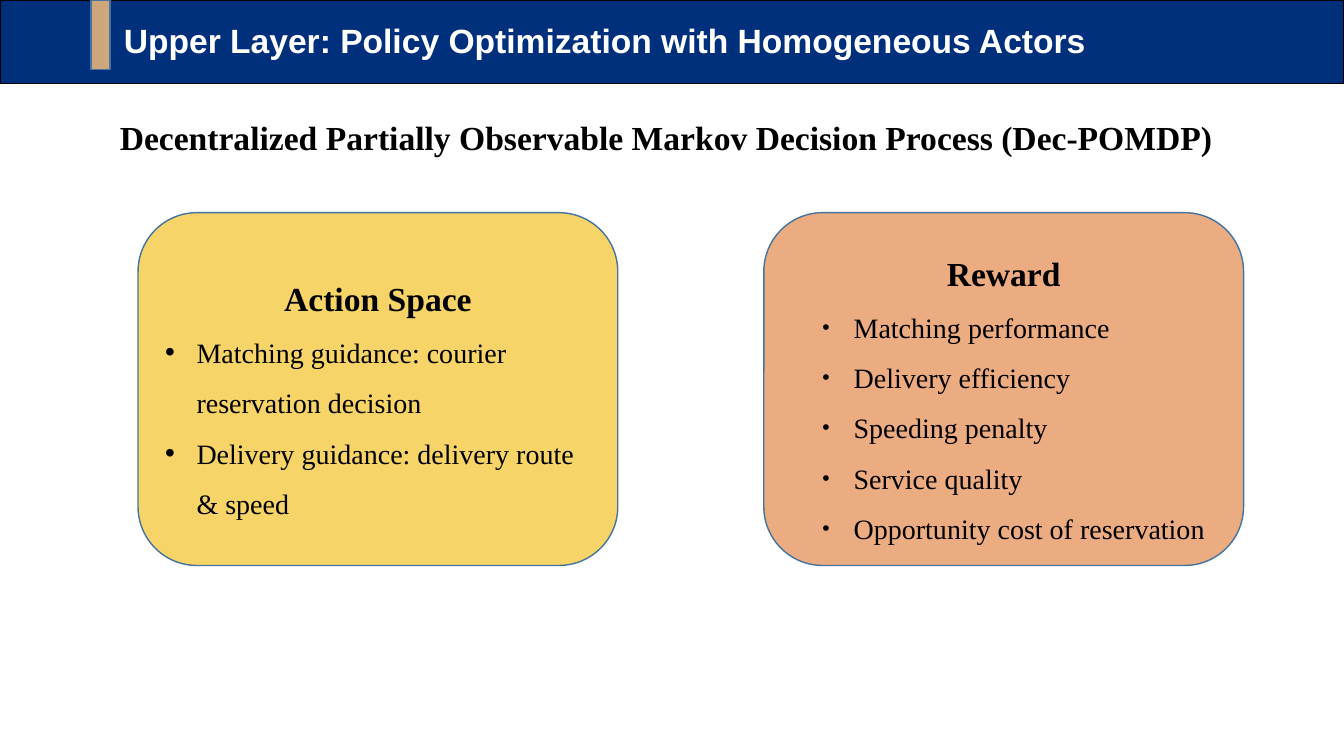
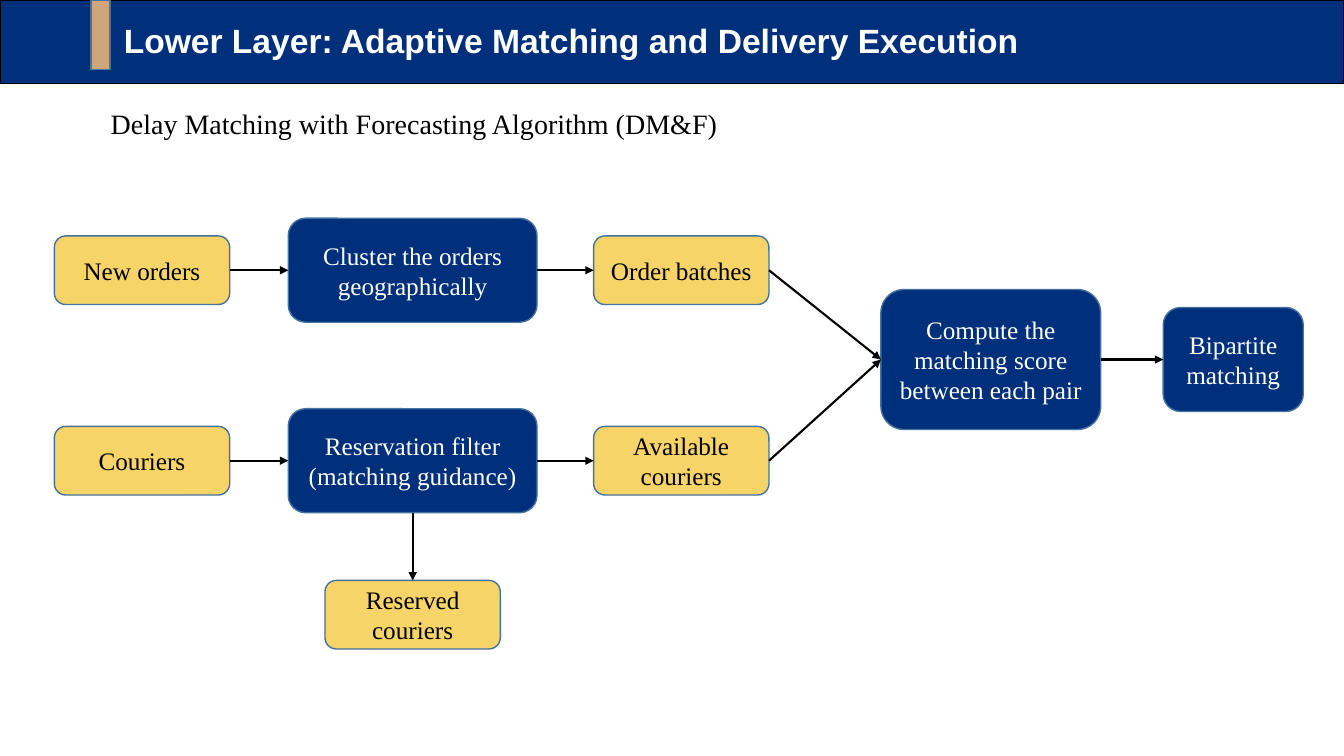
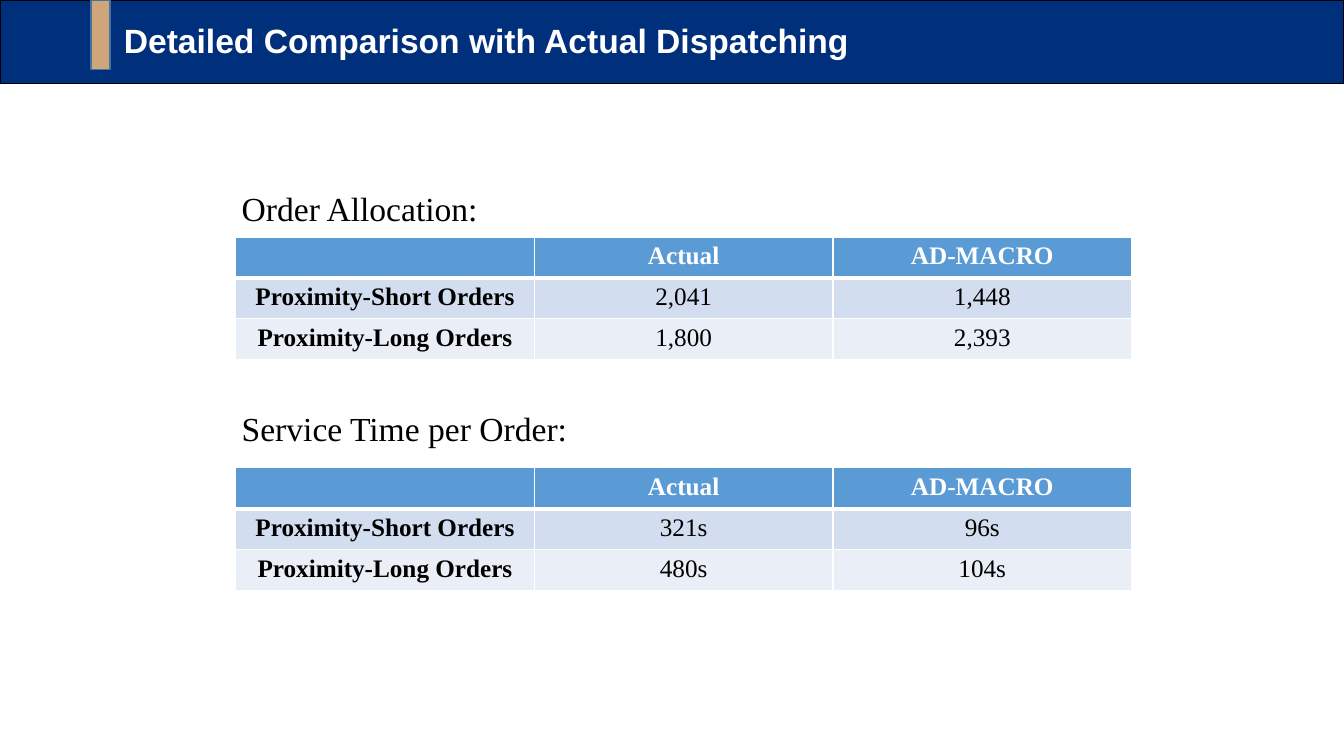
"""Build three slides on courier dispatching with a shared banner style."""
from pptx import Presentation
from pptx import util as u
from pptx.dml.color import RGBColor
from pptx.enum import shapes, text
from pptx.oxml import ns
from lxml import etree

COLORS = {
    "navy": "002F7C", "tan": "CFA57C", "outline": "43739E",
    "yellow": "F6D467", "orange": "EBAC82", "black": "000000",
    "white": "FFFFFF", "header": "5B9BD5", "band": "D2DEEF", "light": "EAEFF7",
}
SERIF = "Times New Roman"
CENTER = text.PP_ALIGN.CENTER
WIDTH, HEIGHT = 33.87, 19.05


def color(name):
    """Return the named colour."""
    return RGBColor.from_string(COLORS[name])


def add_xml(parent, tag, **attributes):
    """Append a drawing element and return it."""
    return etree.SubElement(parent, ns.qn(tag), attributes)


def write(paragraph, content, size=18, bold=False, ink="black", font=SERIF,
          align=text.PP_ALIGN.LEFT, spacing=1.0, bullet=None):
    """Write formatted text, with bullet as (left margin in cm, size in percent)."""
    paragraph.alignment = align
    paragraph.line_spacing = spacing
    if bullet:
        margin, percent = bullet
        properties = paragraph._p.get_or_add_pPr()
        properties.set("marL", str(u.Cm(margin)))
        properties.set("indent", str(-u.Cm(0.79)))
        add_xml(properties, "a:buSzPct", val=str(percent * 1000))
        add_xml(properties, "a:buFont", typeface="Arial")
        add_xml(properties, "a:buChar", char="•")
    run = paragraph.add_run()
    run.text = content
    run.font.size = u.Pt(size)
    run.font.bold = bold
    run.font.name = font
    run.font.color.rgb = color(ink)


class Deck:
    """Hold the presentation, its style and the current slide."""

    def __init__(self):
        """Start an empty widescreen presentation."""
        self.presentation = Presentation()
        self.presentation.slide_width = u.Cm(WIDTH)
        self.presentation.slide_height = u.Cm(HEIGHT)
        self.slide = None

    def start(self, title):
        """Add a slide with the banner and its title."""
        layout = self.presentation.slide_layouts.get_by_name("Title Only")
        self.slide = self.presentation.slides.add_slide(layout)
        banner = self.box(0, 0, WIDTH, 2.11, "navy", "black", shapes.MSO_SHAPE.RECTANGLE)
        accent = self.box(2.29, 0, 0.48, 1.75, "tan", kind=shapes.MSO_SHAPE.RECTANGLE)
        heading = self.slide.shapes.title
        for shape in (banner, accent):
            heading.element.addprevious(shape.element)
        heading.left, heading.top = u.Cm(3.12), u.Cm(0.51)
        heading.width, heading.height = u.Cm(28), u.Cm(1.02)
        frame = heading.text_frame
        frame.margin_left = frame.margin_right = frame.margin_top = frame.margin_bottom = 0
        frame.auto_size = text.MSO_AUTO_SIZE.NONE
        frame.vertical_anchor = text.MSO_ANCHOR.TOP
        write(frame.paragraphs[0], title, size=24, bold=True, ink="white", font="Arial")

    def box(self, left, top, width, height, fill, line="outline",
            kind=shapes.MSO_SHAPE.ROUNDED_RECTANGLE):
        """Add a filled and outlined shape."""
        shape = self.slide.shapes.add_shape(
            kind, u.Cm(left), u.Cm(top), u.Cm(width), u.Cm(height))
        shape.shadow.inherit = False
        shape.fill.solid()
        shape.fill.fore_color.rgb = color(fill)
        shape.line.color.rgb = color(line)
        shape.line.width = u.Pt(1)
        shape.text_frame.word_wrap = True
        shape.text_frame.vertical_anchor = text.MSO_ANCHOR.MIDDLE
        return shape

    def label(self, left, top, width, height, content, **style):
        """Add a wrapping text box."""
        shape = self.slide.shapes.add_textbox(
            u.Cm(left), u.Cm(top), u.Cm(width), u.Cm(height))
        shape.text_frame.word_wrap = True
        write(shape.text_frame.paragraphs[0], content, **style)

    def card(self, left, fill, heading, items, bullet):
        """Add a large box with a heading and bulleted items."""
        frame = self.box(left, 5.36, 12.09, 8.89, fill).text_frame
        write(frame.paragraphs[0], heading, size=24, bold=True, align=CENTER, spacing=1.5)
        for item in items:
            write(frame.add_paragraph(), item, size=20, spacing=1.5, bullet=bullet)

    def node(self, x, y, content, width, height, fill, ink):
        """Add a flowchart box centred on a point."""
        shape = self.box(x - width / 2, y - height / 2, width, height, fill)
        write(shape.text_frame.paragraphs[0], content, ink=ink, align=CENTER)
        return shape

    def data(self, x, y, content):
        """Add a yellow data box."""
        return self.node(x, y, content, 4.42, 1.73, "yellow", "black")

    def step(self, x, y, content, width=6.27, height=2.62):
        """Add a navy process box."""
        return self.node(x, y, content, width, height, "navy", "white")

    def arrow(self, source, target, start=3, end=1):
        """Join two boxes with an arrow."""
        connector = self.slide.shapes.add_connector(
            shapes.MSO_CONNECTOR.STRAIGHT, 0, 0, 0, 0)
        connector.begin_connect(source, start)
        connector.end_connect(target, end)
        connector.line.color.rgb = color("black")
        connector.line.width = u.Pt(1.5)
        properties = connector.element.spPr
        add_xml(properties.find(ns.qn("a:ln")), "a:tailEnd", type="triangle")
        add_xml(properties, "a:effectLst")

    def table(self, top, rows):
        """Add a table with a header row and a bold first column."""
        table = self.slide.shapes.add_table(
            len(rows), len(rows[0]), u.Cm(5.94), u.Cm(top),
            u.Cm(22.58), u.Cm(1.03 * len(rows))).table
        for r, row in enumerate(rows):
            for c, content in enumerate(row):
                cell = table.cell(r, c)
                self.borders(cell, {"T": 3 if r == 1 else 1, "B": 3 if r == 0 else 1})
                cell.fill.solid()
                cell.fill.fore_color.rgb = color(("header", "band", "light")[r])
                if content:
                    write(cell.text_frame.paragraphs[0], content, align=CENTER,
                          bold=r == 0 or c == 0, ink="black" if r else "white")

    def borders(self, cell, widths):
        """Draw white borders, one point wide unless given."""
        properties = cell._tc.get_or_add_tcPr()
        for side in "LRTB":
            line = add_xml(properties, "a:ln" + side, w=str(u.Pt(widths.get(side, 1))))
            add_xml(add_xml(line, "a:solidFill"), "a:srgbClr", val=COLORS["white"])


def policy_slide(deck):
    """Show the decision process of the upper layer."""
    deck.start("Upper Layer: Policy Optimization with Homogeneous Actors")
    deck.label(2.77, 2.31, 28.35, 1.6,
               "Decentralized Partially Observable Markov Decision Process (Dec-POMDP)",
               size=24, bold=True, spacing=1.5)
    deck.card(3.48, "yellow", "Action Space", [
        "Matching guidance: courier reservation decision",
        "Delivery guidance: delivery route & speed"], (0.79, 100))
    deck.card(19.25, "orange", "Reward", [
        "Matching performance", "Delivery efficiency", "Speeding penalty",
        "Service quality", "Opportunity cost of reservation"], (1.58, 75))


def matching_slide(deck):
    """Show the matching flow of the lower layer."""
    deck.start("Lower Layer: Adaptive Matching and Delivery Execution")
    deck.label(2.54, 2.57, 16.97, 1.12,
               "Delay Matching with Forecasting Algorithm (DM&F)", size=20)
    inputs, filters, outputs = 3.58, 10.4, 17.17
    orders_row, couriers_row, score_row = 6.81, 11.61, 9.06
    orders = deck.data(inputs, orders_row, "New orders")
    couriers = deck.data(inputs, couriers_row, "Couriers")
    cluster = deck.step(filters, orders_row, "Cluster the orders geographically")
    reservation = deck.step(filters, couriers_row, "Reservation filter (matching guidance)")
    reserved = deck.data(filters, 15.49, "Reserved couriers")
    batches = deck.data(outputs, orders_row, "Order batches")
    available = deck.data(outputs, couriers_row, "Available couriers")
    score = deck.step(24.97, score_row, "Compute the matching score between each pair", 5.54, 3.53)
    matching = deck.step(31.08, score_row, "Bipartite matching", 3.53)
    for source, target in [(orders, cluster), (couriers, reservation), (cluster, batches),
                           (reservation, available), (batches, score),
                           (available, score), (score, matching)]:
        deck.arrow(source, target)
    deck.arrow(reservation, reserved, start=2, end=0)


def comparison_slide(deck):
    """Compare the method with actual dispatching."""
    deck.start("Detailed Comparison with Actual Dispatching")
    deck.label(5.84, 4.11, 18.67, 1.6, "Order Allocation:", size=24, spacing=1.5)
    deck.label(5.84, 10.16, 21.13, 1.27, "Service Time per Order:", size=24)
    header = ("", "Actual", "AD-MACRO")
    names = ("Proximity-Short Orders", "Proximity-Long Orders")
    for top, values in [(5.97, [("2,041", "1,448"), ("1,800", "2,393")]),
                        (11.79, [("321s", "96s"), ("480s", "104s")])]:
        deck.table(top, [header] + [(name, *pair) for name, pair in zip(names, values)])


def main():
    """Build and save the presentation."""
    deck = Deck()
    policy_slide(deck)
    matching_slide(deck)
    comparison_slide(deck)
    deck.presentation.save("out.pptx")


if __name__ == "__main__":
    main()
